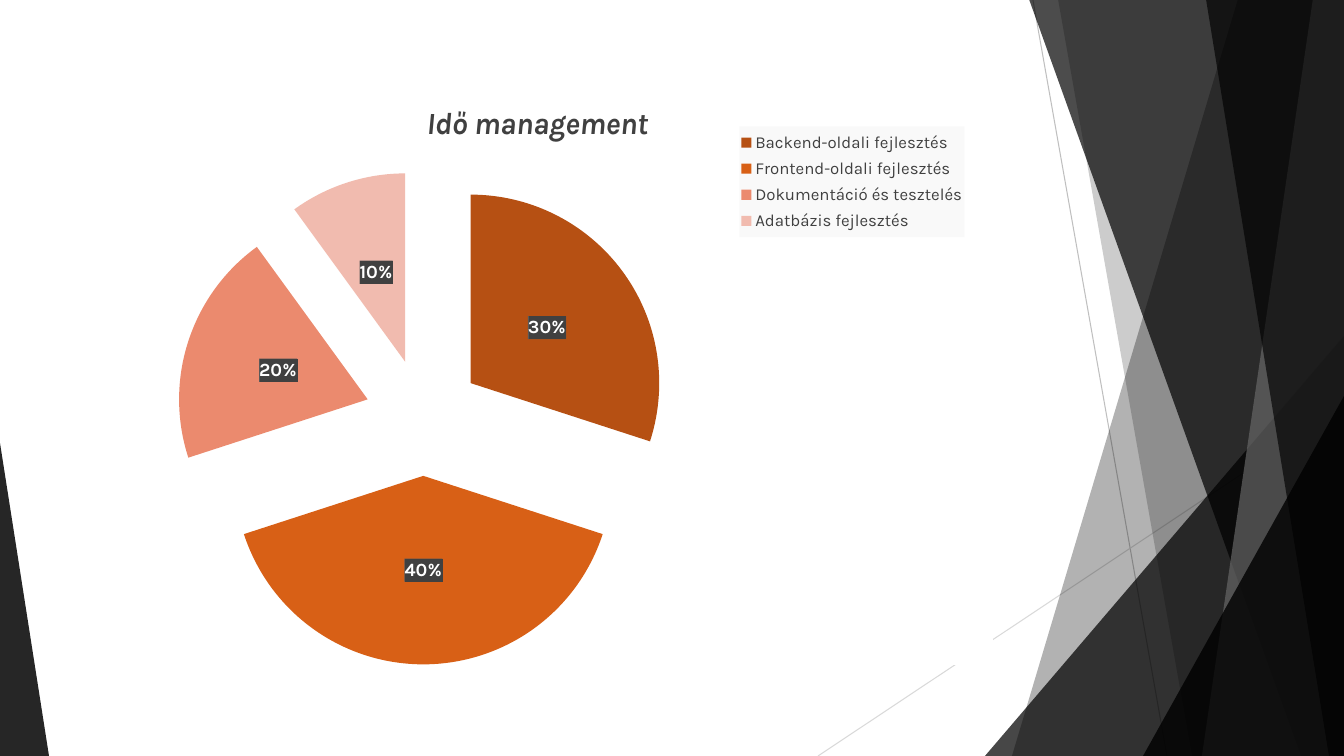
"""Build the time management slide: an exploded pie chart on a faceted dark backdrop."""
import lxml.etree
import pptx
import pptx.chart.data
import pptx.dml.color
import pptx.enum.chart
import pptx.enum.shapes
import pptx.oxml
import pptx.oxml.ns
import pptx.util

PX = 914400 / 100.8
NS = pptx.oxml.ns.nsdecls("a", "c")
qn = pptx.oxml.ns.qn


def rgb(value):
    return pptx.dml.color.RGBColor.from_string(value)


def paint(facet, color, opacity):
    facet.shadow.inherit = False
    facet.line.fill.background()
    facet.fill.solid()
    facet.fill.fore_color.rgb = rgb(color)
    tone = facet.fill._xPr.find(qn("a:solidFill"))[0]
    lxml.etree.SubElement(tone, qn("a:alpha")).set("val", str(opacity * 1000))


deck = pptx.Presentation()
deck.slide_width, deck.slide_height = round(1344 * PX), round(756 * PX)
slide = deck.slides.add_slide(deck.slide_layouts[6])
shapes = slide.shapes

for x1, y1, x2, y2, color in [(1033, 0, 1167, 756, "BFBFBF"), (1344, 406, 818, 756, "D9D9D9")]:
    ray = shapes.add_connector(
        pptx.enum.shapes.MSO_CONNECTOR.STRAIGHT, *[round(v * PX) for v in (x1, y1, x2, y2)])
    ray.line.color.rgb = rgb(color)
    ray.line.width = pptx.util.Pt(0.75)
    lxml.etree.SubElement(ray._element.spPr, qn("a:effectLst"))

facets = [
    ("band", (1238, 1012), "000000", 30),
    ("band", (1058, 1192), "000000", 20),
    ("corner", (985, 336, 359, 420, 1), "000000", 72),
    ("band", (1029, 1301), "000000", 70),
    ("band", (1313, 1202), "666666", 70),
    ("band", (1206, 1329), "000000", 65),
    ("corner", (1143, 396, 201, 360, 1), "000000", 80),
    ("corner", (0, 443, 49, 313, 0), "000000", 85),
]
for kind, place, color, opacity in facets:
    if kind == "band":
        top_x, bottom_x = place
        outline = shapes.build_freeform(top_x, -1, scale=PX)
        outline.add_line_segments([(1344, -1), (1344, 756), (bottom_x, 756)], close=True)
        facet = outline.convert_to_shape()
    else:
        *box, apex = place
        facet = shapes.add_shape(
            pptx.enum.shapes.MSO_SHAPE.ISOSCELES_TRIANGLE, *[round(v * PX) for v in box])
        facet.adjustments[0] = apex
    paint(facet, color, opacity)

shares = pptx.chart.data.CategoryChartData()
shares.categories = ["Backend-oldali fejlesztés", "Frontend-oldali fejlesztés",
                     "Dokumentáció és tesztelés", "Adatbázis fejlesztés"]
shares.add_series("Series 1", [30, 40, 20, 10])
chart = shapes.add_chart(
    pptx.enum.chart.XL_CHART_TYPE.PIE,
    *[round(v * PX) for v in (113, 91, 880, 574)], shares).chart
chart.font.name = "Karla"
chart.font.size = pptx.util.Pt(10)
chart.font.color.rgb = rgb("000000")
chart._chartSpace.find(qn("c:txPr")).addprevious(pptx.oxml.parse_xml(
    f'<c:spPr {NS}><a:solidFill><a:srgbClr val="FFFFFF"/></a:solidFill>'
    '<a:ln w="9525"><a:solidFill><a:srgbClr val="FFFFFF"/></a:solidFill></a:ln></c:spPr>'))

heading = chart.chart_title.text_frame.paragraphs[0]
heading.text = "Idő management"
heading.font.name = "Karla"
heading.font.size = pptx.util.Pt(22)
heading.font.bold = heading.font.italic = True
heading.font.color.rgb = rgb("404040")

chart.has_legend = True
legend = chart.legend
legend.position = pptx.enum.chart.XL_LEGEND_POSITION.RIGHT
legend.include_in_layout = False
legend.font.name = "Karla"
legend.font.size = pptx.util.Pt(12)
legend.font.color.rgb = rgb("404040")
legend._element.find(qn("c:txPr")).addprevious(pptx.oxml.parse_xml(
    f'<c:spPr {NS}><a:solidFill><a:srgbClr val="F9F9F9"/></a:solidFill></c:spPr>'))

pie = chart.plots[0]
pie.vary_by_categories = True
series = pie.series[0]
for index, color in enumerate(["B65013", "D86016", "EB8A6E", "F1BBAF"]):
    slice_format = series.points[index].format
    slice_format.fill.solid()
    slice_format.fill.fore_color.rgb = rgb(color)
    slice_format.line.fill.background()
series._element.find(qn("c:dPt")).addprevious(
    pptx.oxml.parse_xml(f'<c:explosion {NS} val="31"/>'))

labels = series.data_labels
labels.show_percentage = True
labels.show_value = False
labels.show_legend_key = False
labels.position = pptx.enum.chart.XL_LABEL_POSITION.CENTER
labels.font.name = "Karla"
labels.font.size = pptx.util.Pt(13.3)
labels.font.bold = True
labels.font.color.rgb = rgb("FFFFFF")
labels._element.find(qn("c:txPr")).addprevious(pptx.oxml.parse_xml(
    f'<c:spPr {NS}><a:pattFill prst="dkVert"><a:fgClr><a:srgbClr val="404040"/></a:fgClr>'
    '<a:bgClr><a:srgbClr val="595959"/></a:bgClr></a:pattFill></c:spPr>'))

title_element = chart.chart_title._element
layouts = [
    (chart._chartSpace.chart.plotArea, 0, True, (0.003, 0.138, 0.699, 0.862)),
    (title_element, 1, False, (0.35, 0.01)),
    (legend._element, 1, False, (0.712, 0.061, 0.256, 0.193)),
]
for part, slot, inner, fractions in layouts:
    for old in part.findall(qn("c:layout")):
        part.remove(old)
    target = '<c:layoutTarget val="inner"/>' if inner else ""
    modes = '<c:xMode val="edge"/><c:yMode val="edge"/>'
    sizes = "".join(f'<c:{key} val="{value}"/>' for key, value in zip("xywh", fractions))
    part.insert(slot, pptx.oxml.parse_xml(
        f"<c:layout {NS}><c:manualLayout>{target}{modes}{sizes}</c:manualLayout></c:layout>"))

deck.save("out.pptx")
